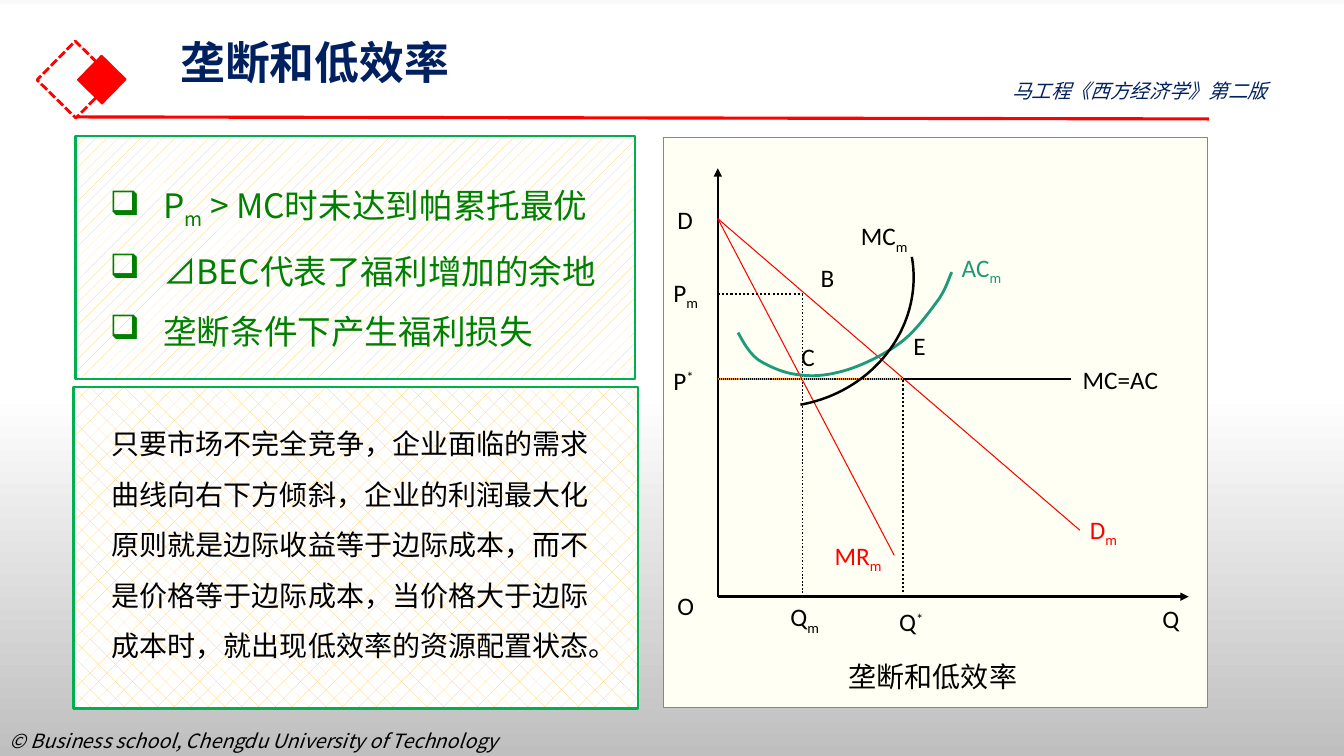
from typing import NamedTuple

from lxml import etree
from pptx import Presentation
from pptx.dml.color import RGBColor
from pptx.enum.dml import MSO_LINE as Dash, MSO_PATTERN as Pattern
from pptx.enum.shapes import MSO_CONNECTOR as Conn, MSO_SHAPE as Shape
from pptx.enum.text import MSO_ANCHOR as Anchor
from pptx.oxml import parse_xml
from pptx.oxml.ns import nsdecls, qn
from pptx.util import Inches, Pt

BLACK = RGBColor(0x00, 0x00, 0x00)
WHITE = RGBColor(0xFF, 0xFF, 0xFF)
RED = RGBColor(0xFF, 0x00, 0x00)
NAVY = RGBColor(0x00, 0x20, 0x60)
GREEN = RGBColor(0x00, 0x80, 0x00)
FRAME = RGBColor(0x00, 0xB0, 0x50)
TEAL = RGBColor(0x1D, 0x9A, 0x78)
BLUE = RGBColor(0x33, 0x99, 0xFF)
CREAM = RGBColor(0xFF, 0xFF, 0xF3)
SAND = RGBColor(0xFF, 0xCC, 0x66)
ORANGE = RGBColor(0xFF, 0x99, 0x33)
NOTO, CALIBRI = "Noto Sans CJK SC", "Calibri"
SUB, SUP = -25000, 30000

X0, Y0 = 7.12, 5.92
X_M, X_STAR = 7.96, 8.96
Y_D, Y_M, Y_STAR = 2.17, 2.92, 3.76


class Panel(NamedTuple):
    box: tuple
    line: RGBColor
    weight: float
    fill: RGBColor | None = None
    pattern: Pattern | None = None
    kind: Shape = Shape.RECTANGLE
    rotation: float = 0
    dash: Dash | None = None


class Line(NamedTuple):
    start: tuple
    end: tuple
    weight: float
    color: RGBColor = BLACK
    dash: Dash | None = None
    arrow: bool = False


class Label(NamedTuple):
    x: float
    y: float
    letters: str
    script: str = ""
    baseline: int = SUB
    color: RGBColor = BLACK
    size: tuple = (0.58, 0.5)


PANELS = [
    Panel((6.58, 1.36, 5.4, 5.66), BLUE, 0.75, CREAM),
    Panel((0.75, 1.35, 5.55, 2.41), FRAME, 1.75, SAND, Pattern.PERCENT_10),
    Panel((0.73, 3.84, 5.6, 3.19), FRAME, 1.75, SAND, Pattern.DOTTED_DIAMOND),
    Panel((0.48, 0.52, 0.54, 0.54), RED, 2, rotation=314.5, dash=Dash.SQUARE_DOT),
    Panel((0.84, 0.62, 0.34, 0.34), RED, 1, RED, rotation=314.5),
]
MARGINAL_COST = Panel((6.47, 1.44, 2.5, 2.69), BLACK, 1.75, kind=Shape.ARC, rotation=79.9)

LINES = [
    Line((0.77, 1.16), (11.99, 1.18), 2.25, RED),
    Line((X0, Y0), (X0, 1.67), 1.75, arrow=True),
    Line((X0, Y0), (11.79, Y0), 1.75, arrow=True),
    Line((X0, Y_D), (10.71, 5.26), 0.75, RED),
    Line((X0, Y_D), (8.87, 5.51), 0.75, RED),
    Line((X0, Y_STAR), (10.62, Y_STAR), 1.5),
    Line((X0, Y_M), (X_M, Y_M), 1.5, dash=Dash.ROUND_DOT),
    Line((X_M, Y0), (X_M, Y_M), 1.25, dash=Dash.ROUND_DOT),
    Line((X0, Y_STAR), (X_STAR, Y_STAR), 0.75, ORANGE, Dash.ROUND_DOT),
    Line((X_STAR, Y0), (X_STAR, Y_STAR), 1.5, dash=Dash.ROUND_DOT),
]

POINT = (0.42, 0.33)
CURVE = (0.8, 0.5)
EQUATION = (1.1, 0.5)
LABELS = [
    Label(11.43, 5.89, "Q"),
    Label(6.62, 5.76, "O"),
    Label(10.64, 3.51, "MC=AC", size=EQUATION),
    Label(6.58, 2.67, "P", "m"),
    Label(7.74, 5.89, "Q", "m"),
    Label(6.58, 3.52, "P", "*", SUP),
    Label(8.82, 5.92, "Q", "*", SUP),
    Label(6.62, 2.01, "D", size=POINT),
    Label(8.04, 2.59, "B", size=POINT),
    Label(7.85, 3.37, "C", size=POINT),
    Label(8.96, 3.26, "E", size=POINT),
    Label(8.44, 2.11, "MC", "m", size=CURVE),
    Label(9.44, 2.42, "AC", "m", color=TEAL, size=CURVE),
    Label(8.18, 5.28, "MR", "m", color=RED, size=CURVE),
    Label(10.71, 5.02, "D", "m", color=RED),
]

AVERAGE_COST = [
    (7.32, 3.3), (7.37, 3.39), (7.42, 3.49), (7.52, 3.57),
    (7.63, 3.64), (7.79, 3.71), (7.94, 3.72),
    (8.08, 3.74), (8.24, 3.72), (8.4, 3.67),
    (8.56, 3.62), (8.77, 3.52), (8.93, 3.4),
    (9.08, 3.29), (9.22, 3.09), (9.31, 2.97),
    (9.39, 2.85), (9.41, 2.76), (9.44, 2.7),
]


def set_background(s) -> None:
    stops = [(0, "F9F9F9"), (1, "FFFFFF"), (52, "FFFFFF"), (100, "BFBFBF")]
    fill = s.background.fill
    fill.gradient()
    fill.gradient_angle = 270
    gs_list = next(s.background._cSld.iter(qn("a:gsLst")))
    for gs in list(gs_list):
        gs_list.remove(gs)
    for pos, color in stops:
        gs_list.append(parse_xml(
            f'<a:gs {nsdecls("a")} pos="{pos * 1000}"><a:srgbClr val="{color}"/></a:gs>'))


def style_line(line, color: RGBColor, weight: float, dash: Dash | None = None) -> None:
    line.color.rgb = color
    line.width = Pt(weight)
    if dash is not None:
        line.dash_style = dash


def add_panel(s, panel: Panel) -> None:
    sp = s.shapes.add_shape(panel.kind, *map(Inches, panel.box))
    sp.shadow.inherit = False
    sp.rotation = panel.rotation
    if panel.pattern is not None:
        sp.fill.patterned()
        sp.fill.pattern = panel.pattern
        sp.fill.fore_color.rgb = panel.fill
        sp.fill.back_color.rgb = WHITE
    elif panel.fill is not None:
        sp.fill.solid()
        sp.fill.fore_color.rgb = panel.fill
    else:
        sp.fill.background()
    style_line(sp.line, panel.line, panel.weight, panel.dash)


def add_line(s, line: Line) -> None:
    cx = s.shapes.add_connector(Conn.STRAIGHT, *map(Inches, line.start + line.end))
    style_line(cx.line, line.color, line.weight, line.dash)
    if line.arrow:
        etree.SubElement(cx.line._get_or_add_ln(), qn("a:tailEnd"), type="triangle")
    etree.SubElement(cx._element.spPr, qn("a:effectLst"))


def add_curve(s, nodes: list, color: RGBColor, weight: float, steps: int = 10) -> None:
    points = []
    for i in range(0, len(nodes) - 1, 3):
        for k in range(1, steps + 1):
            t = k / steps
            weights = ((1 - t) ** 3, 3 * t * (1 - t) ** 2, 3 * t * t * (1 - t), t ** 3)
            points.append(tuple(
                Inches(sum(w * n[axis] for w, n in zip(weights, nodes[i:i + 4])))
                for axis in (0, 1)))
    builder = s.shapes.build_freeform(*map(Inches, nodes[0]))
    builder.add_line_segments(points, close=False)
    sp = builder.convert_to_shape()
    sp.shadow.inherit = False
    sp.fill.background()
    style_line(sp.line, color, weight)


def add_text(s, box: tuple, paragraphs: list, *, size: float, color: RGBColor = BLACK,
             font: str = NOTO, bold: bool = False, italic: bool = False,
             spacing: float = 1.0, anchor: Anchor = Anchor.TOP,
             bullet: str = "", insets: tuple = (0.05, 0.05)) -> None:
    tf = s.shapes.add_textbox(*map(Inches, box)).text_frame
    tf.word_wrap = True
    tf.vertical_anchor = anchor
    tf.margin_top, tf.margin_bottom = map(Inches, insets)
    for i, runs in enumerate(paragraphs):
        p = tf.add_paragraph() if i else tf.paragraphs[0]
        p.line_spacing = spacing
        if bullet:
            pPr = p._p.get_or_add_pPr()
            pPr.set("marL", str(Inches(0.53)))
            pPr.set("indent", str(Inches(-0.53)))
            etree.SubElement(pPr, qn("a:buChar"), char=bullet)
        for words, baseline in runs:
            r = p.add_run()
            r.text = words
            r.font.size, r.font.name = Pt(size), font
            r.font.bold, r.font.italic = bold, italic
            r.font.color.rgb = color
            rPr = r._r.get_or_add_rPr()
            etree.SubElement(rPr, qn("a:ea"), typeface=font)
            if baseline:
                rPr.set("baseline", str(baseline))


def add_label(s, label: Label) -> None:
    runs = [(label.letters, 0)]
    if label.script:
        runs.append((label.script, label.baseline))
    add_text(s, (label.x, label.y, *label.size), [runs], size=18, color=label.color,
             font=CALIBRI, anchor=Anchor.MIDDLE)


def main() -> None:
    prs = Presentation()
    prs.slide_width, prs.slide_height = Inches(13.33), Inches(7.5)
    s = prs.slides.add_slide(prs.slide_layouts[6])
    set_background(s)
    add_text(s, (0, 7.18, 6.67, 0.64),
             [[("© Business school, Chengdu University of Technology", 0)]], size=14, italic=True)
    for panel in PANELS:
        add_panel(s, panel)
    add_text(s, (1.69, 0.37, 11.5, 0.95), [[("垄断和低效率", 0)]], size=32, color=NAVY,
             bold=True, spacing=0.9, anchor=Anchor.MIDDLE, insets=(0, 0.4))
    add_text(s, (9.94, 0.73, 3.24, 0.34), [[("马工程《西方经济学》第二版", 0)]], size=14,
             color=NAVY, italic=True)
    add_text(s, (0.99, 1.92, 5.58, 1.25),
             [[("P", 0), ("m", SUB), (" > MC时未达到帕累托最优", 0)],
              [("⊿BEC代表了福利增加的余地", 0)],
              [("垄断条件下产生福利损失", 0)]],
             size=24, color=GREEN, spacing=1.5, anchor=Anchor.MIDDLE, bullet="❑")
    add_text(s, (1.01, 4.02, 5.16, 2.62),
             [[("只要市场不完全竞争，企业面临的需求曲线向右下方倾斜，企业的利润最大化原则就是"
                "边际收益等于边际成本，而不是价格等于边际成本，当价格大于边际成本时，就出现"
                "低效率的资源配置状态。", 0)]], size=20, spacing=1.5)
    for line in LINES:
        add_line(s, line)
    add_curve(s, AVERAGE_COST, TEAL, 2)
    add_panel(s, MARGINAL_COST)
    for label in LABELS:
        add_label(s, label)
    add_text(s, (8.32, 6.49, 2.55, 0.44), [[("垄断和低效率", 0)]], size=20)
    prs.save("out.pptx")


if __name__ == "__main__":
    main()
